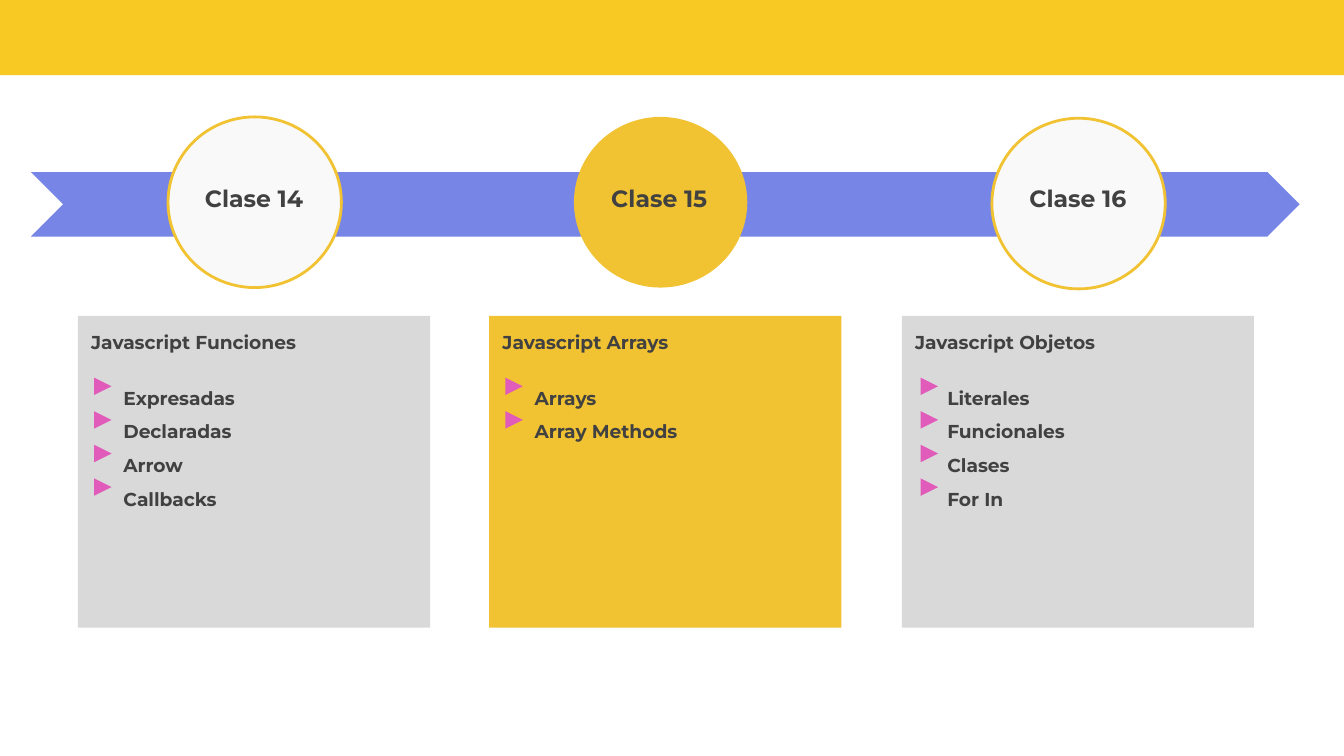
from pptx import Presentation
from pptx import util as u
from pptx.dml.color import RGBColor
from pptx.enum import shapes, text

YELLOW = RGBColor(0xF8, 0xC8, 0x23)
GOLD = RGBColor(0xF1, 0xC2, 0x32)
BLUE = RGBColor(0x76, 0x85, 0xE6)
OFF_WHITE = RGBColor(0xF9, 0xF9, 0xF9)
GREY = RGBColor(0xD9, 0xD9, 0xD9)
PINK = RGBColor(0xE1, 0x5B, 0xBA)
DARK = RGBColor(0x41, 0x41, 0x41)

CARD_TOP, CARD_WIDTH, CARD_HEIGHT = 2.35, 2.62, 2.32
CIRCLE_WIDTH, CIRCLE_HEIGHT = 1.29, 1.27
MARKER_SIZE, MARKER_TOP, MARKER_STEP = 0.13, 2.81, 0.25

# card left, circle left, circle top, label left, label width, marker left,
# class name, topic, items, highlighted
CLASSES = [
    (0.58, 1.25, 0.87, 1.39, 1, 0.70, "Clase 14", "Javascript Funciones",
     ["Expresadas", "Declaradas", "Arrow", "Callbacks"], False),
    (3.64, 4.27, 0.87, 4.31, 1.19, 3.76, "Clase 15", "Javascript Arrays",
     ["Arrays", "Array Methods"], True),
    (6.71, 7.38, 0.88, 7.52, 1, 6.85, "Clase 16", "Javascript Objetos",
     ["Literales", "Funcionales", "Clases", "For In"], False),
]


def add_filled_shape(kind, left, top, width, height, color):
    shape = slide.shapes.add_shape(
        kind, u.Inches(left), u.Inches(top), u.Inches(width), u.Inches(height))
    shape.shadow.inherit = False
    shape.fill.solid()
    shape.fill.fore_color.rgb = color
    shape.line.fill.background()
    return shape


def add_text(left, top, width, height, lines, size, alignment):
    box = slide.shapes.add_textbox(
        u.Inches(left), u.Inches(top), u.Inches(width), u.Inches(height))
    frame = box.text_frame
    frame.word_wrap = True
    frame.margin_left = frame.margin_right = u.Inches(0.1)
    frame.margin_top = frame.margin_bottom = u.Inches(0.1)
    frame.text = "\n".join(lines)
    for paragraph in frame.paragraphs:
        paragraph.alignment = alignment
        paragraph.font.name = "Montserrat"
        paragraph.font.size = u.Pt(size)
        paragraph.font.bold = True
        paragraph.font.color.rgb = DARK
    return frame


# Widescreen 16:9 slide
presentation = Presentation()
presentation.slide_width = u.Inches(10)
presentation.slide_height = u.Inches(10) * 9 // 16
slide = presentation.slides.add_slide(presentation.slide_layouts[6])

# Header band and timeline arrow
add_filled_shape(shapes.MSO_SHAPE.RECTANGLE, -0.01, -0.05, 10.03, 0.61, YELLOW)
arrow = add_filled_shape(shapes.MSO_SHAPE.CHEVRON, 0.23, 1.28, 9.44, 0.48, BLUE)
arrow.adjustments[0] = 0.5

for (card_left, circle_left, circle_top, label_left, label_width, marker_left,
     name, topic, items, highlighted) in CLASSES:
    # Circle with the class name
    circle = add_filled_shape(
        shapes.MSO_SHAPE.OVAL, circle_left, circle_top,
        CIRCLE_WIDTH, CIRCLE_HEIGHT, GOLD if highlighted else OFF_WHITE)
    if not highlighted:
        circle.line.color.rgb = GOLD
        circle.line.width = u.Pt(1.5)
    add_text(label_left, 1.27, label_width, 0.33, [name], 12.6,
             text.PP_ALIGN.CENTER)

    # Card with its topic and items
    add_filled_shape(
        shapes.MSO_SHAPE.RECTANGLE, card_left, CARD_TOP,
        CARD_WIDTH, CARD_HEIGHT, GOLD if highlighted else GREY)
    frame = add_text(card_left, CARD_TOP + 0.01, CARD_WIDTH, CARD_HEIGHT,
                     [topic] + items, 10, text.PP_ALIGN.LEFT)
    for paragraph in frame.paragraphs[1:]:
        paragraph.line_spacing = 1.5
        paragraph._p.get_or_add_pPr().set("marL", str(u.Inches(0.24)))
    frame.paragraphs[1].space_before = u.Pt(12)

    # Triangle marker beside each item
    for row in range(len(items)):
        marker = add_filled_shape(
            shapes.MSO_SHAPE.ISOSCELES_TRIANGLE, marker_left,
            MARKER_TOP + row * MARKER_STEP, MARKER_SIZE, MARKER_SIZE, PINK)
        marker.rotation = 90

presentation.save("out.pptx")
